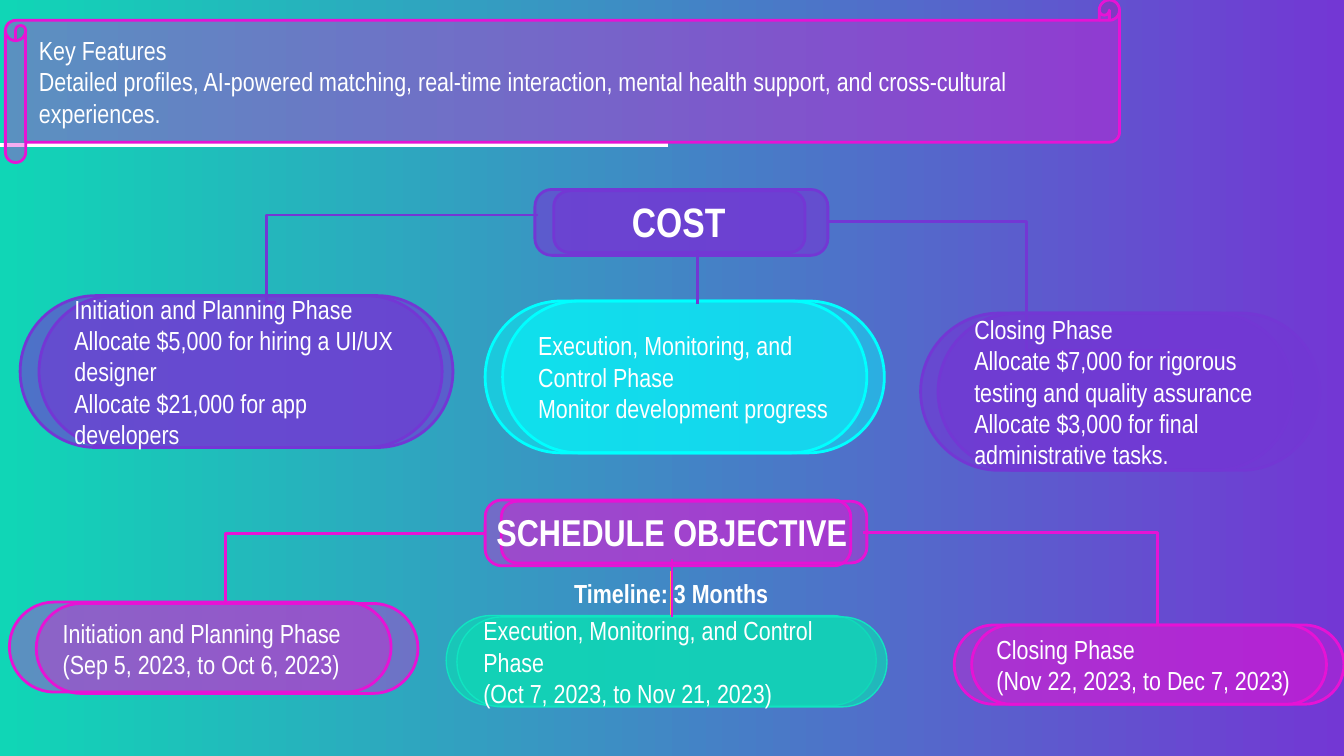
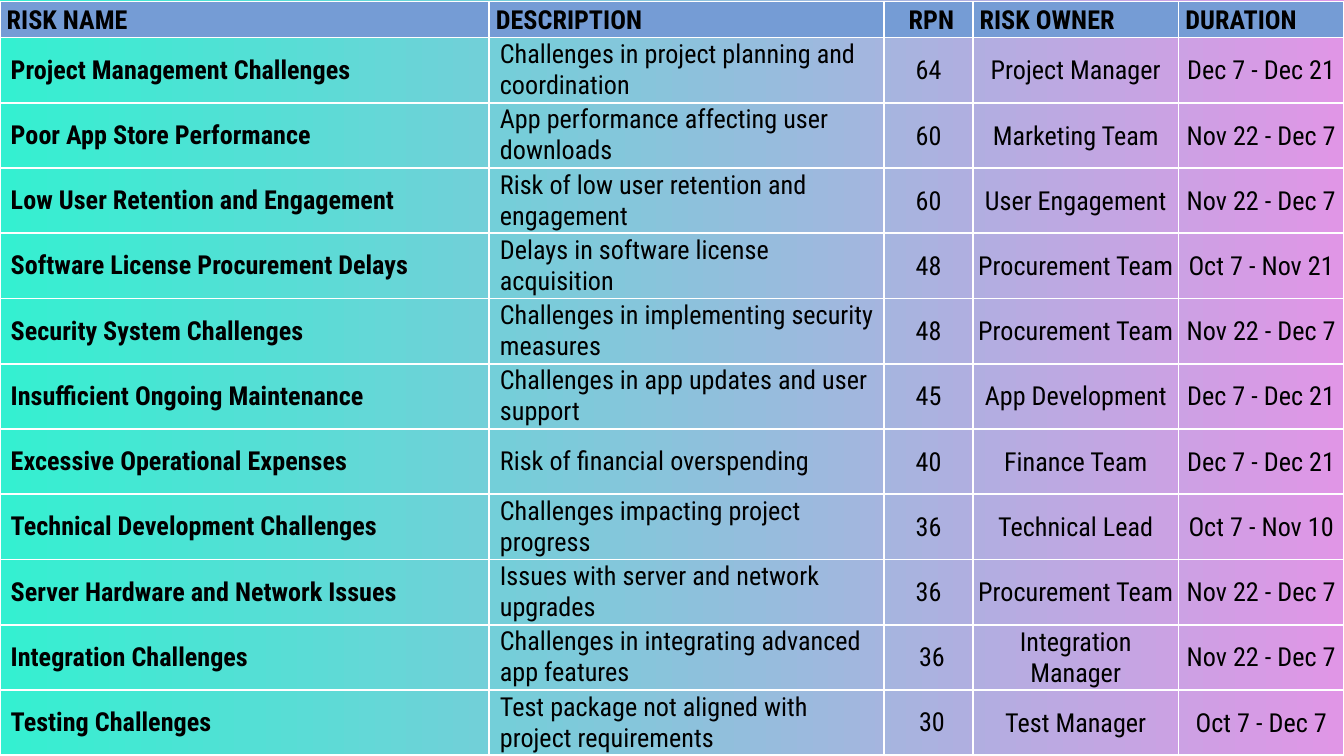
from dataclasses import dataclass

from lxml import etree
from pptx import Presentation
from pptx.dml.color import RGBColor
from pptx.enum.shapes import MSO_CONNECTOR, MSO_SHAPE
from pptx.enum.text import MSO_ANCHOR, MSO_AUTO_SIZE, PP_ALIGN
from pptx.oxml.ns import qn
from pptx.util import Pt

EMU_PER_PX = 9144
BLANK_LAYOUT = 6
ROUNDED = MSO_SHAPE.ROUNDED_RECTANGLE
SCROLL = MSO_SHAPE.HORIZONTAL_SCROLL
STRAIGHT = MSO_CONNECTOR.STRAIGHT
ELBOW = MSO_CONNECTOR.ELBOW
MIDDLE = MSO_ANCHOR.MIDDLE
LEFT = PP_ALIGN.LEFT
CENTER = PP_ALIGN.CENTER
GROW = MSO_AUTO_SIZE.SHAPE_TO_FIT_TEXT


@dataclass(frozen=True)
class Theme:
    """Colours, fonts and type sizes of the deck."""
    white: str = "FFFFFF"
    black: str = "000000"
    teal: str = "10D6B6"
    teal_line: str = "11E4C1"
    violet: str = "7337D4"
    cyan: str = "00FFFF"
    magenta: str = "E613D5"
    orange: str = "FEA83A"
    mint: str = "34F0D1"
    orchid: str = "E096E6"
    table_head: str = "759CD5"
    diagram_font: str = "Arial Narrow"
    table_font: str = "Roboto Condensed"
    body: int = 14
    section: int = 20
    section_large: int = 22
    thin: float = 0.75
    border: float = 1
    outline: float = 1.5
    rule: float = 2.25


@dataclass(frozen=True)
class Look:
    """Fill, opacity in percent and outline of a family of shapes."""
    fill: str
    opacity: int
    line: str
    width: float


THEME = Theme()
MAGENTA = Look(THEME.magenta, 35, THEME.magenta, THEME.outline)
VIOLET = Look(THEME.violet, 62, THEME.violet, THEME.outline)
CYAN = Look(THEME.cyan, 45, THEME.cyan, THEME.outline)
TEAL = Look(THEME.teal, 71, THEME.teal_line, THEME.thin)

PILL = 0.5
HEADING = 0.256

RISK_COLUMNS = [364, 294, 66, 153, 123]
RISK_HEADER = ["RISK NAME", "DESCRIPTION", "RPN", "RISK OWNER", "DURATION"]
RISKS = [
    ["Project Management Challenges", "Challenges in project planning and coordination",
     "64", "Project Manager", "Dec 7 - Dec 21"],
    ["Poor App Store Performance", "App performance affecting user downloads",
     "60", "Marketing Team", "Nov 22 - Dec 7"],
    ["Low User Retention and Engagement", "Risk of low user retention and engagement",
     "60", "User Engagement", "Nov 22 - Dec 7"],
    ["Software License Procurement Delays", "Delays in software license acquisition",
     "48", "Procurement Team", "Oct 7 - Nov 21"],
    ["Security System Challenges", "Challenges in implementing security measures",
     "48", "Procurement Team", "Nov 22 - Dec 7"],
    ["Insufficient Ongoing Maintenance", "Challenges in app updates and user support",
     "45", "App Development", "Dec 7 - Dec 21"],
    ["Excessive Operational Expenses", "Risk of financial overspending",
     "40", "Finance Team", "Dec 7 - Dec 21"],
    ["Technical Development Challenges", "Challenges impacting project progress",
     "36", "Technical Lead", "Oct 7 - Nov 10"],
    ["Server Hardware and Network Issues", "Issues with server and network upgrades",
     "36", "Procurement Team", "Nov 22 - Dec 7"],
    ["Integration Challenges", "Challenges in integrating advanced app features",
     "36", "Integration Manager", "Nov 22 - Dec 7"],
    ["Testing Challenges", "Test package not aligned with project requirements",
     "30", "Test Manager", "Oct 7 - Dec 7"],
]


def px(length):
    """Turn whole pixels into EMU."""
    return length * EMU_PER_PX


def rgb(colour):
    """Turn a hex string into a colour."""
    return RGBColor.from_string(colour)


def set_opacity(element, percent):
    """Make the first colour inside an element partly transparent."""
    colour = next(element.iter(qn("a:srgbClr")))
    etree.SubElement(colour, qn("a:alpha"), val=str(percent * 1000))


class DeckBuilder:
    """Holds the style and the current slide, and draws each kind of element."""

    def __init__(self, theme):
        """Start an empty widescreen deck."""
        self.theme = theme
        self.presentation = Presentation()
        self.presentation.slide_width = px(1000)
        self.presentation.slide_height = px(1000) * 9 // 16

    def add_slide(self, start, end, opacity):
        """Add a slide with a left-to-right gradient."""
        layout = self.presentation.slide_layouts[BLANK_LAYOUT]
        self.slide = self.presentation.slides.add_slide(layout)
        self.shapes = self.slide.shapes
        fill = self.slide.background.fill
        fill.gradient()
        fill.gradient_angle = 0
        for stop, colour in zip(fill.gradient_stops, (start, end)):
            stop.color.rgb = rgb(colour)
        set_opacity(self.slide.element, opacity)

    def open_group(self):
        """Send the next elements into a new group."""
        self.shapes = self.slide.shapes.add_group_shape().shapes

    def close_group(self):
        """Send the next elements straight to the slide."""
        self.shapes = self.slide.shapes

    def set_lines(self, frame, lines, font, size, colour, bold=False, align=LEFT):
        """Fill a text frame with one paragraph a line."""
        frame.text = "\n".join(lines)
        for paragraph in frame.paragraphs:
            paragraph.alignment = align
            for run in paragraph.runs:
                run.font.name = font
                run.font.size = Pt(size)
                run.font.bold = bold
                run.font.color.rgb = rgb(colour)

    def inset(self, frame, margin=10):
        """Wrap a text frame, centre it vertically and set equal margins."""
        frame.word_wrap = True
        frame.vertical_anchor = MIDDLE
        frame.margin_left = frame.margin_right = px(margin)
        frame.margin_top = frame.margin_bottom = px(margin)

    def panel(self, box, look, lines=(), kind=ROUNDED, rounding=None):
        """Draw a translucent outlined shape with optional text."""
        shape = self.shapes.add_shape(kind, *map(px, box))
        shape.shadow.inherit = False
        if rounding is not None:
            shape.adjustments[0] = rounding
        shape.fill.solid()
        shape.fill.fore_color.rgb = rgb(look.fill)
        set_opacity(shape.element.spPr, look.opacity)
        shape.line.color.rgb = rgb(look.line)
        shape.line.width = Pt(look.width)
        if lines:
            self.inset(shape.text_frame)
            self.set_lines(shape.text_frame, lines, self.theme.diagram_font,
                           self.theme.body, self.theme.white)

    def label(self, box, text, size, grow=False):
        """Draw a bold centred white caption."""
        frame = self.shapes.add_textbox(*map(px, box)).text_frame
        if grow:
            frame.word_wrap = True
            frame.auto_size = GROW
        else:
            self.inset(frame)
        self.set_lines(frame, [text], self.theme.diagram_font, size,
                       self.theme.white, True, CENTER)

    def connector(self, start, end, colour, width, kind=STRAIGHT, bend=None):
        """Draw a line, with the bend as a percentage of its width."""
        connector = self.shapes.add_connector(kind, *map(px, start + end))
        connector.line.color.rgb = rgb(colour)
        connector.line.width = Pt(width)
        properties = connector.element.spPr
        etree.SubElement(properties, qn("a:effectLst"))
        if bend is not None:
            guides = next(properties.iter(qn("a:avLst")))
            etree.SubElement(guides, qn("a:gd"), name="adj1", fmla=f"val {int(bend * 1000)}")

    def cell(self, cell, text, margins, fill=None, bold=False, align=LEFT):
        """Fill and frame one table cell."""
        cell.vertical_anchor = MIDDLE
        (cell.margin_left, cell.margin_right,
         cell.margin_top, cell.margin_bottom) = map(px, margins)
        self.set_lines(cell.text_frame, [text], self.theme.table_font,
                       self.theme.body, self.theme.black, bold, align)
        if fill:
            cell.fill.solid()
            cell.fill.fore_color.rgb = rgb(fill)
        else:
            cell.fill.background()
        properties = cell._tc.get_or_add_tcPr()
        for index, side in enumerate(("a:lnL", "a:lnR", "a:lnT", "a:lnB")):
            border = etree.Element(qn(side), w=str(int(Pt(self.theme.border))))
            paint = etree.SubElement(border, qn("a:solidFill"))
            etree.SubElement(paint, qn("a:srgbClr"), val=self.theme.white)
            properties.insert(index, border)

    def risk_table(self, box, widths, header, rows, header_height):
        """Draw the risk register."""
        frame = self.shapes.add_table(len(rows) + 1, len(widths), *map(px, box))
        table = frame.table
        table.horz_banding = False
        for column, width in zip(table.columns, widths):
            column.width = px(width)
        for row in table.rows:
            row.height = px(box[3] - header_height) // len(rows)
        table.rows[0].height = px(header_height)
        for index, text in enumerate(header):
            self.cell(table.cell(0, index), text, (5, 1, 1, 0), self.theme.table_head,
                      True, CENTER if text == "RPN" else LEFT)
        for row_index, row in enumerate(rows, 1):
            for index, text in enumerate(row):
                if index < 2:
                    margins = (8, 0, 0, 0)
                elif index == 2 and row_index > len(rows) - 2:
                    margins = (5, 0, 0, 0)
                else:
                    margins = (1, 1, 1, 0)
                self.cell(table.cell(row_index, index), text, margins,
                          bold=index == 0, align=LEFT if index < 2 else CENTER)


def build_plan(deck):
    """Build the cost and schedule slide."""
    theme = deck.theme
    deck.add_slide(theme.teal, theme.violet, 71)
    deck.connector((-4, 108), (497, 108), theme.white, theme.rule)
    deck.panel((361, 224, 284, 113), CYAN, rounding=PILL)
    deck.panel((374, 224, 284, 113), CYAN,
               ["Execution, Monitoring, and Control Phase", "Monitor development progress"],
               rounding=PILL)
    deck.connector((499, 425), (499, 459), theme.orange, theme.thin)

    deck.open_group()
    deck.panel((373, 373, 272, 46), MAGENTA, rounding=HEADING)
    deck.panel((710, 465, 277, 59), MAGENTA, rounding=PILL)
    deck.panel((7, 448, 284, 67), MAGENTA, rounding=PILL)
    deck.panel((361, 372, 272, 49), MAGENTA, rounding=HEADING)
    deck.connector((642, 396), (861, 465), theme.magenta, theme.outline, ELBOW, 100)
    deck.connector((361, 397), (168, 449), theme.magenta, theme.outline, ELBOW, 100)
    deck.panel((723, 465, 277, 59), MAGENTA,
               ["Closing Phase", "(Nov 22, 2023, to Dec 7, 2023)"], rounding=PILL)
    deck.panel((27, 449, 284, 67), MAGENTA,
               ["Initiation and Planning Phase", "(Sep 5, 2023, to Oct 6, 2023)"], rounding=PILL)
    deck.close_group()
    deck.label((358, 375, 284, 41), "SCHEDULE OBJECTIVE", theme.section)
    deck.panel((332, 458, 320, 67), TEAL, rounding=PILL)
    deck.panel((340, 459, 320, 67), TEAL,
               ["Execution, Monitoring, and Control Phase", "(Oct 7, 2023, to Nov 21, 2023)"],
               rounding=PILL)
    deck.label((166, 425, 667, 34), "Timeline: 3 Months", theme.body, grow=True)
    deck.connector((519, 186), (519, 226), theme.violet, theme.outline)

    deck.open_group()
    deck.panel((412, 142, 187, 46), VIOLET, rounding=HEADING)
    deck.panel((685, 233, 277, 117), VIOLET, rounding=PILL)
    deck.panel((15, 220, 314, 113), VIOLET, rounding=PILL)
    deck.panel((398, 141, 218, 49), VIOLET, rounding=HEADING)
    deck.connector((616, 165), (912, 261), theme.violet, theme.outline, ELBOW, 50)
    deck.connector((205, 225), (400, 160), theme.violet, theme.outline, ELBOW, -3.4)
    deck.panel((698, 233, 284, 117), VIOLET,
               ["Closing Phase", "Allocate $7,000 for rigorous testing and quality assurance",
                "Allocate $3,000 for final administrative tasks."], rounding=PILL)
    deck.panel((29, 220, 308, 113), VIOLET,
               ["Initiation and Planning Phase", "Allocate $5,000 for hiring a UI/UX designer",
                "Allocate $21,000 for app developers"], rounding=PILL)
    deck.close_group()
    deck.label((396, 144, 218, 41), "COST", theme.section_large)
    deck.panel((4, 0, 829, 121), MAGENTA,
               ["Key Features", "Detailed profiles, AI-powered matching, real-time interaction, "
                "mental health support, and cross-cultural experiences."], SCROLL)
    deck.connector((500, 416), (500, 459), theme.magenta, theme.outline, ELBOW)


def main():
    """Build and save the deck."""
    deck = DeckBuilder(THEME)
    build_plan(deck)
    deck.add_slide(THEME.mint, THEME.orchid, 70)
    deck.risk_table((0, 1, 1000, 561), RISK_COLUMNS, RISK_HEADER, RISKS, 27)
    deck.presentation.save("out.pptx")


if __name__ == "__main__":
    main()
